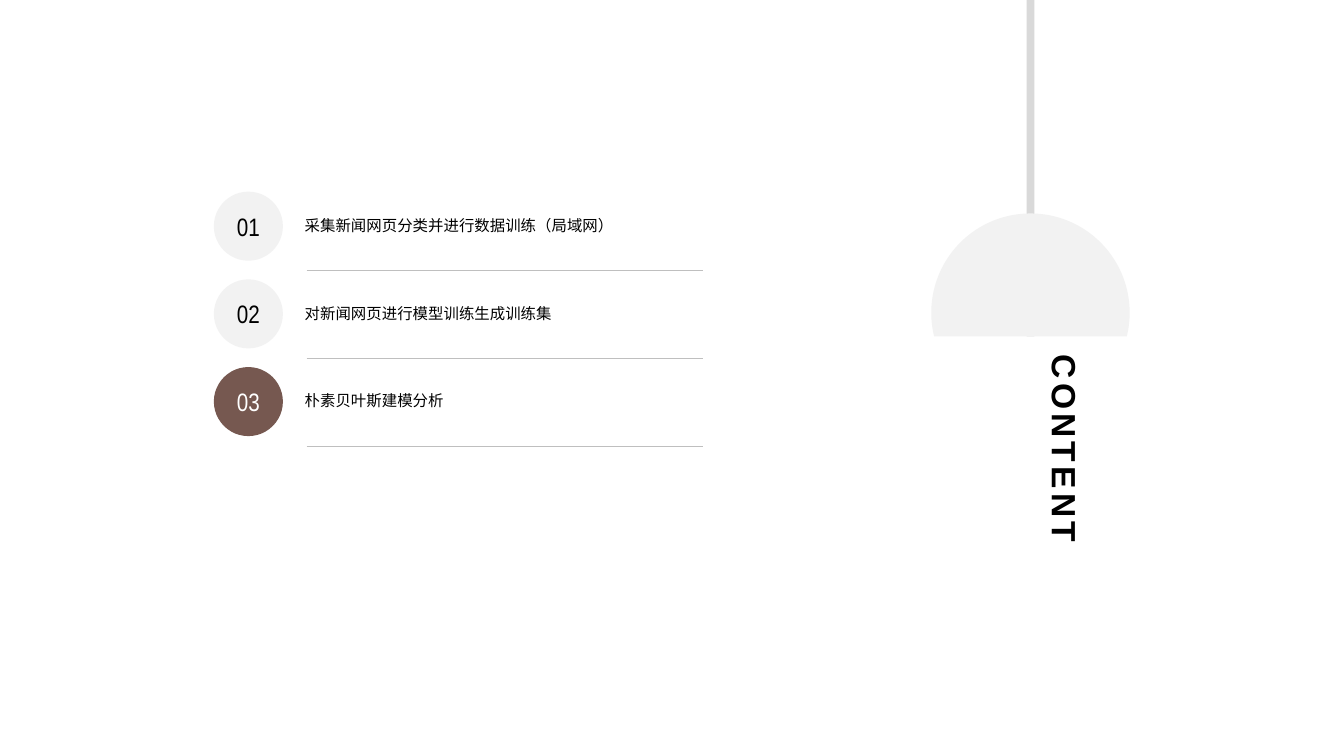
import math

from lxml import etree
from pptx import Presentation
from pptx.dml.color import RGBColor
from pptx.enum.shapes import MSO_CONNECTOR, MSO_SHAPE
from pptx.enum.text import MSO_ANCHOR, MSO_AUTO_SIZE, PP_ALIGN
from pptx.oxml.ns import qn
from pptx.util import Cm, Pt

RECT, OVAL = MSO_SHAPE.RECTANGLE, MSO_SHAPE.OVAL
STRAIGHT = MSO_CONNECTOR.STRAIGHT
TOP, MIDDLE = MSO_ANCHOR.TOP, MSO_ANCHOR.MIDDLE
LEFT, CENTER = PP_ALIGN.LEFT, PP_ALIGN.CENTER
NO_AUTOFIT = MSO_AUTO_SIZE.NONE

BLACK = RGBColor(0x00, 0x00, 0x00)
WHITE = RGBColor(0xFF, 0xFF, 0xFF)
PALE = RGBColor(0xF2, 0xF2, 0xF2)
CORD_GREY = RGBColor(0xD9, 0xD9, 0xD9)
RULE_GREY = RGBColor(0xBF, 0xBF, 0xBF)
BROWN = RGBColor(0x76, 0x58, 0x50)

CHAPTERS = [
    ("采集新闻网页分类并进行数据训练（局域网）", PALE, BLACK),
    ("对新闻网页进行模型训练生成训练集", PALE, BLACK),
    ("朴素贝叶斯建模分析", BROWN, WHITE),
]
ROW_PITCH = 2.21


def paint(sp, color):
    """Give a shape a flat fill without line or shadow."""
    sp.shadow.inherit = False
    sp.fill.solid()
    sp.fill.fore_color.rgb = color
    sp.line.fill.background()


def style(p, size, font, color, align=LEFT):
    """Set the font and alignment of a paragraph."""
    p.alignment = align
    p.font.size = Pt(size)
    p.font.name = font
    p.font.color.rgb = color


def add_lamp(s, x, y, w, h):
    """Draw a lamp whose cord and cut-off round shade fill the box."""
    radius = w / 2
    cx, cy = x + radius, y + 7.88
    cord_w = 0.2
    cord = s.shapes.add_shape(RECT, Cm(cx - cord_w / 2), Cm(y), Cm(cord_w), Cm(h))
    paint(cord, CORD_GREY)

    cut = math.degrees(math.asin((y + h - cy) / radius))
    steps = 120
    angles = [math.radians(cut - (180 + 2 * cut) * i / steps) for i in range(steps + 1)]
    points = [(Cm(cx + radius * math.cos(a)), Cm(cy + radius * math.sin(a))) for a in angles]
    builder = s.shapes.build_freeform(*points[0])
    builder.add_line_segments(points[1:], close=True)
    paint(builder.convert_to_shape(), PALE)


def add_title(s, x, y, w, h):
    """Set the title vertically in the box."""
    sp = s.shapes.title
    sp.left, sp.top, sp.width, sp.height = Cm(x), Cm(y), Cm(w), Cm(h)
    tf = sp.text_frame
    tf.text = "CONTENT"
    tf.auto_size = NO_AUTOFIT
    tf.vertical_anchor = TOP
    tf._txBody.bodyPr.set("vert", "eaVert")
    p = tf.paragraphs[0]
    style(p, 24, "Arial", BLACK)
    p.font.bold = True
    p.runs[0]._r.get_or_add_rPr().set("spc", "300")


def add_chapter(s, x, y, w, number, chapter):
    """Place a numbered disc, its heading and the rule below."""
    heading, fill, color = chapter
    size = 1.74
    disc = s.shapes.add_shape(OVAL, Cm(x), Cm(y), Cm(size), Cm(size))
    paint(disc, fill)
    tf = disc.text_frame
    tf.margin_left = tf.margin_right = 0
    tf.vertical_anchor = MIDDLE
    tf.text = f"{number:02d}"
    style(tf.paragraphs[0], 18, "Arial Narrow", color, CENTER)

    box = s.shapes.add_textbox(Cm(x + 2.04), Cm(y + 0.4), Cm(11.3), Cm(0.96))
    tf = box.text_frame
    tf.word_wrap = True
    tf.text = heading
    p = tf.paragraphs[0]
    p.line_spacing = 1.2
    style(p, 11, "Arial", BLACK)

    rule_y = Cm(y + 1.99)
    rule = s.shapes.add_connector(STRAIGHT, Cm(x + 2.34), rule_y, Cm(x + w), rule_y)
    rule.line.color.rgb = RULE_GREY
    rule.line.width = Pt(0.25)
    etree.SubElement(rule._element.spPr, qn("a:effectLst"))


def add_agenda(s, x, y, w):
    """Stack the chapters at an even pitch."""
    for i, chapter in enumerate(CHAPTERS):
        add_chapter(s, x, y + i * ROW_PITCH, w, i + 1, chapter)


def main():
    """Build the contents slide and save it."""
    prs = Presentation()
    prs.slide_width, prs.slide_height = Cm(33.87), Cm(19.05)
    s = prs.slides.add_slide(prs.slide_layouts[5])
    add_lamp(s, 23.47, 0, 5, 8.48)
    add_title(s, 26.06, 8.81, 1.55, 5.49)
    add_agenda(s, 5.39, 4.83, 12.32)
    prs.save("out.pptx")


if __name__ == "__main__":
    main()
